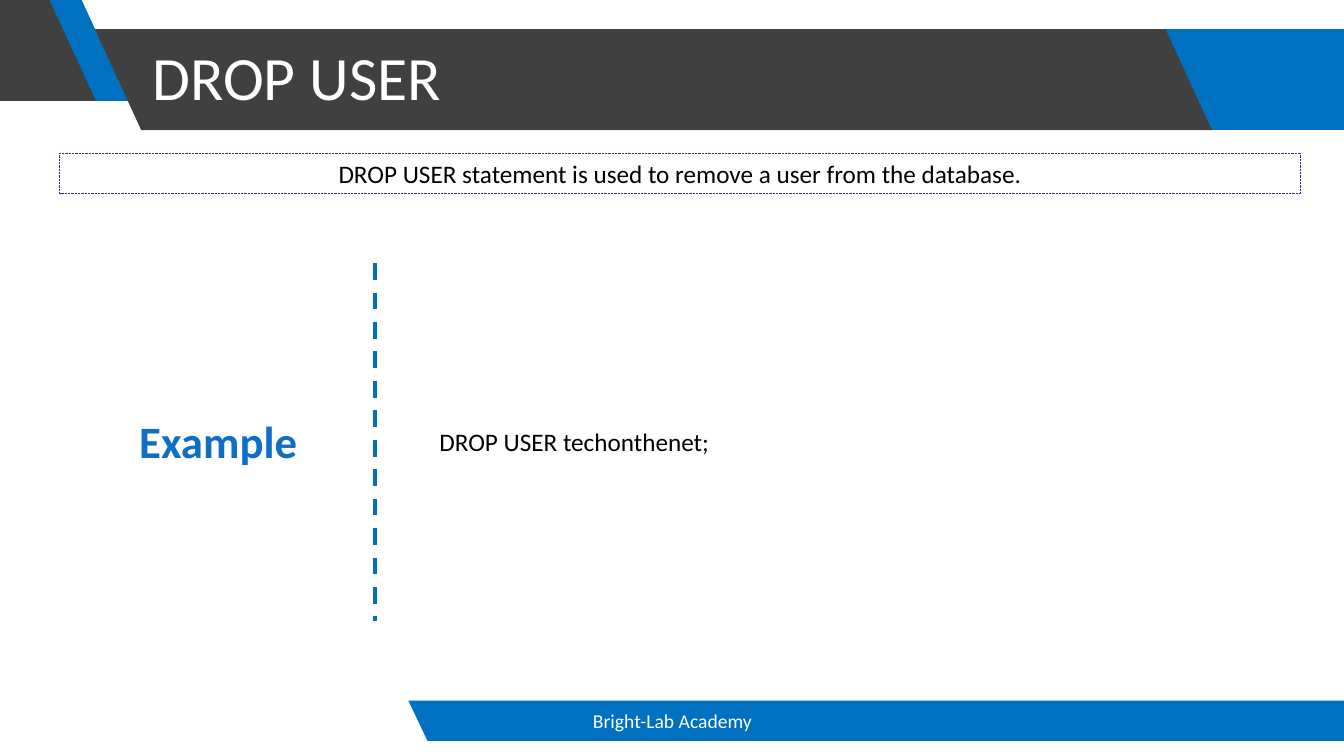
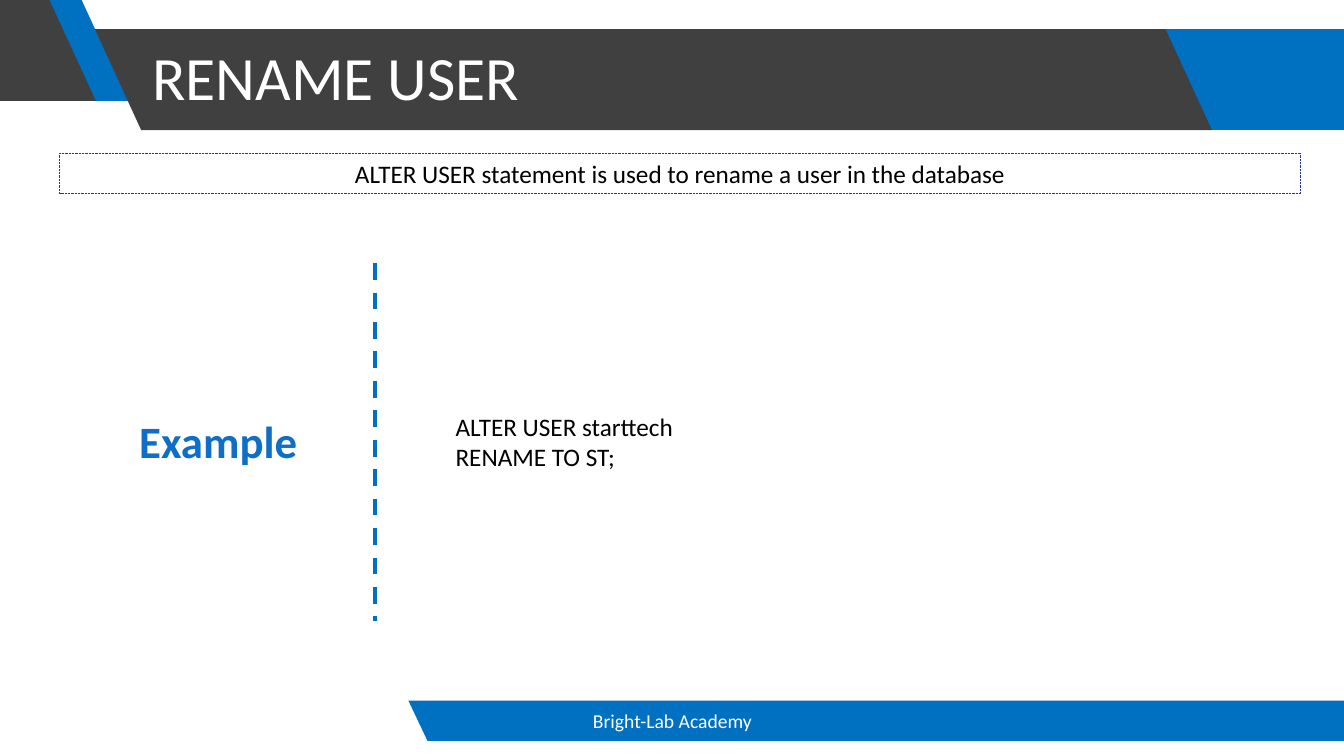
from dataclasses import dataclass

from lxml import etree
from pptx import Presentation
from pptx import util as u
from pptx.dml.color import RGBColor
from pptx.enum import dml, shapes, text
from pptx.oxml.ns import qn


@dataclass(frozen=True)
class Theme:
    font: str = "Calibri"
    blue: str = "0070C0"
    dark: str = "404040"
    label: str = "0F6FC6"
    border: str = "263393"
    white: str = "FFFFFF"
    black: str = "000000"
    title: int = 44
    heading: int = 32
    body: int = 18
    footer: int = 14


T = Theme()
FOOTER = "Bright-Lab Academy"
SLIDES = [
    dict(title="DROP USER",
         summary="DROP USER statement is used to remove a user from the database.",
         code=["DROP USER techonthenet;"], code_left=4.26),
    dict(title="RENAME USER",
         summary="ALTER USER statement is used to rename a user in the database",
         code=["ALTER USER starttech", "RENAME TO ST;"], code_left=4.42),
]

# Slanted bands shared by all slides, from back to front
W, SLANT, FOOT_SLANT = 13.33, 0.46, 0.19
BANDS = [
    (T.blue, [(10.68, 0.29), (W, 0.29), (W, 1.29), (10.68, 1.29)]),
    (T.blue, [(0.34, 0), (0.81, 0), (0.81 + SLANT, 1), (0.34 + SLANT, 1)]),
    (T.dark, [(0, 0), (0.49, 0), (0.49 + SLANT, 1), (0, 1)]),
    (T.dark, [(0.94, 0.29), (11.56, 0.29), (11.56 + SLANT, 1.29), (0.94 + SLANT, 1.29)]),
    (T.blue, [(4.05, 6.95), (W, 6.95), (W, 7.35), (4.05 + FOOT_SLANT, 7.35)]),
]


def place(sp, left, top, width, height):
    sp.left, sp.top = u.Inches(left), u.Inches(top)
    sp.width, sp.height = u.Inches(width), u.Inches(height)
    return sp


def write(sp, lines, size, color=T.black, bold=False, align=text.PP_ALIGN.LEFT,
          anchor=text.MSO_ANCHOR.TOP, spacing=1.0):
    tf = sp.text_frame
    tf.word_wrap = True
    tf.auto_size = text.MSO_AUTO_SIZE.NONE
    tf.vertical_anchor = anchor
    for i, line in enumerate(lines):
        p = tf.add_paragraph() if i else tf.paragraphs[0]
        p.alignment, p.line_spacing = align, spacing
        r = p.add_run()
        r.text = line
        r.font.name, r.font.size, r.font.bold = T.font, u.Pt(size), bold
        r.font.color.rgb = RGBColor.from_string(color)


CENTER, MIDDLE = text.PP_ALIGN.CENTER, text.MSO_ANCHOR.MIDDLE

prs = Presentation()
prs.slide_width, prs.slide_height = u.Inches(W), u.Inches(7.5)
layout = prs.slide_layouts.get_by_name("Title Only")

for number, content in enumerate(SLIDES):
    s = prs.slides.add_slide(layout)

    # Bands and footer: drawn once, then moved to the layout
    if number == 0:
        shared = []
        for color, corners in BANDS:
            points = [(u.Inches(x), u.Inches(y)) for x, y in corners]
            outline = s.shapes.build_freeform(*points[0])
            outline.add_line_segments(points[1:], close=True)
            sp = outline.convert_to_shape()
            sp.shadow.inherit = False
            sp.fill.solid()
            sp.fill.fore_color.rgb = RGBColor.from_string(color)
            sp.line.fill.background()
            shared.append(sp)
        sp = place(s.shapes.add_textbox(0, 0, 0, 0), 4.42, 6.95, 4.5, 0.4)
        write(sp, [FOOTER], T.footer, T.white, align=CENTER, anchor=MIDDLE)
        shared.append(sp)
        for i, sp in enumerate(shared):
            sp.element.xpath(".//p:cNvPr")[0].set("id", str(100 + i))
            layout.shapes.element.insert(2 + i, sp.element)

    # Title
    title = place(s.shapes.title, 1.41, 0.07, 10.14, 1.45)
    write(title, [content["title"]], T.title, T.white, anchor=MIDDLE, spacing=0.9)

    # Summary in a dotted frame
    summary = place(s.shapes.add_textbox(0, 0, 0, 0), 0.59, 1.52, 12.31, 0.4)
    summary.line.color.rgb = RGBColor.from_string(T.border)
    summary.line.width = u.Pt(0.5)
    summary.line.dash_style = dml.MSO_LINE.ROUND_DOT
    write(summary, [content["summary"]], T.body, align=CENTER)

    # Dashed divider
    divider = s.shapes.add_connector(shapes.MSO_CONNECTOR.STRAIGHT, u.Inches(3.72),
                                     u.Inches(2.61), u.Inches(3.72), u.Inches(6.16))
    divider.line.color.rgb = RGBColor.from_string(T.blue)
    divider.line.width = u.Pt(3)
    divider.line.dash_style = dml.MSO_LINE.DASH
    etree.SubElement(divider.element.spPr, qn("a:effectLst"))

    # Example code, centred on the height of its label
    height = 0.1 + 0.3 * len(content["code"])
    code = place(s.shapes.add_textbox(0, 0, 0, 0),
                 content["code_left"], 4.38 - height / 2, 8.26, height)
    write(code, content["code"], T.body)
    label = place(s.shapes.add_textbox(0, 0, 0, 0), 0.46, 4.06, 3.41, 0.64)
    write(label, ["Example"], T.heading, T.label, bold=True, align=CENTER)

prs.save("out.pptx")
